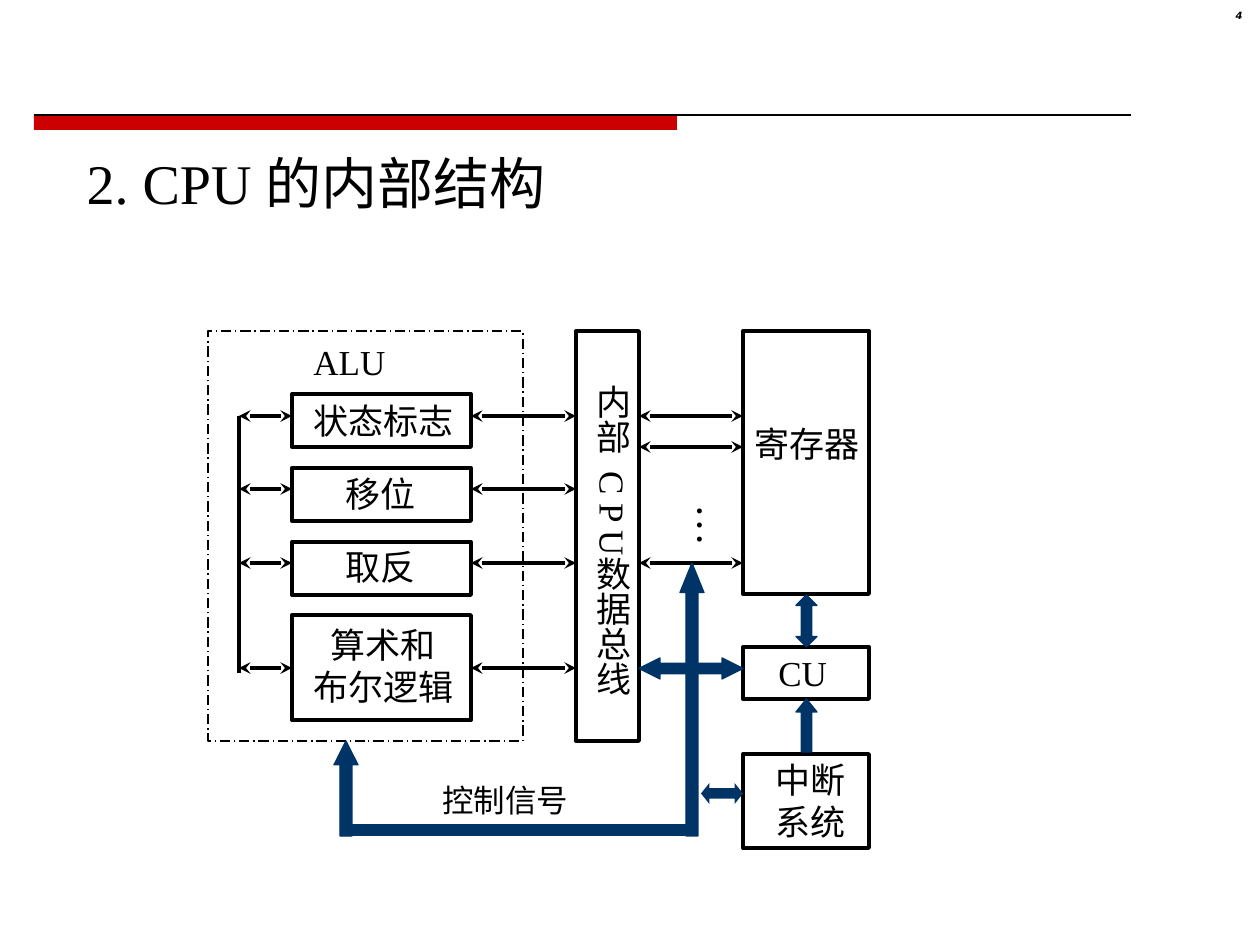
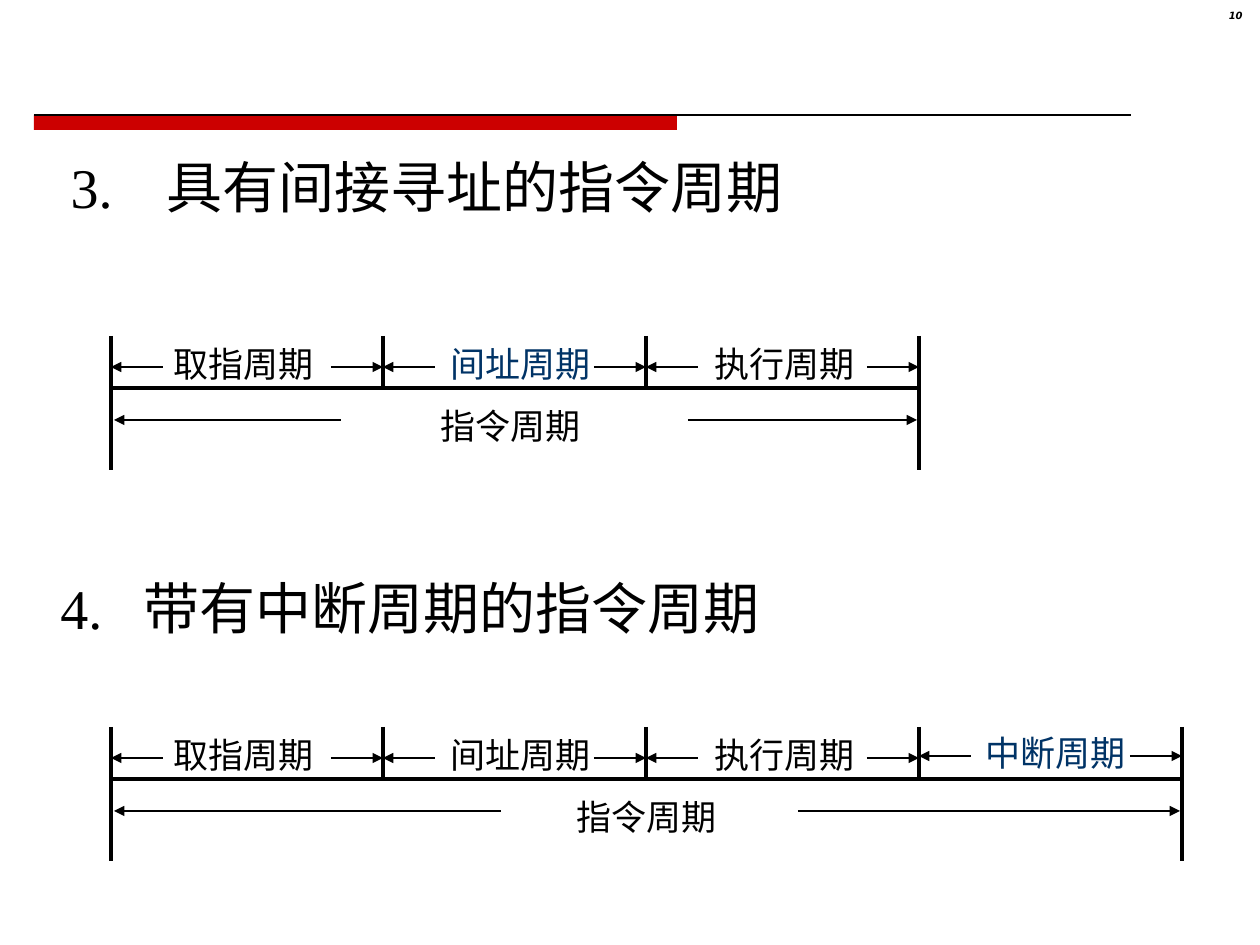
"""Builds two slides on the inner structure of a CPU and its instruction cycles."""
import lxml.etree
import pptx
import pptx.dml.color
import pptx.enum.dml
import pptx.enum.shapes
import pptx.enum.text
import pptx.oxml.ns
import pptx.util

SHAPE = pptx.enum.shapes.MSO_SHAPE
ALIGN = pptx.enum.text.PP_ALIGN
qn = pptx.oxml.ns.qn
PX = 914400 / 126
COLORS = {"ink": "000000", "navy": "003366", "red": "CC0000"}
SERIF, SANS = "Times New Roman", "DejaVu Sans"
BAND_BAR, BAND_RULE = (34, 115, 643, 15), (34, 115, 1131, 115)
NUMBER_AREA = (1181, 6, 74, 29)

CPU_TITLE = ("2. CPU 的内部结构", (74, 142, 640, 81), 0)
CYCLE_TITLES = [
    ("3.\t具有间接寻址的指令周期", (58, 146, 788, 81), 96),
    ("4.\t带有中断周期的指令周期", (48, 567, 788, 81), 83),
]

ALU_AREA = (208, 331, 315, 410)
UNITS = [
    (292, 394, 179, 53),
    (292, 468, 179, 53),
    (292, 542, 179, 53),
    (292, 615, 179, 105),
    (576, 331, 63, 410),
    (743, 331, 126, 263),
    (743, 647, 126, 52),
    (743, 754, 126, 94),
]
UNIT_LABELS = [
    ("ALU", (301, 334, 97, 55), 20),
    ("状态标志", (301, 393, 165, 55), 20),
    ("移位", (333, 466, 94, 55), 20),
    ("取反", (333, 539, 94, 55), 20),
    ("算术和\n布尔逻辑", (301, 617, 165, 97), 20),
    ("寄存器", (742, 416, 130, 55), 20),
    ("CU", (766, 645, 73, 55), 20),
    ("中断\n系统", (764, 752, 94, 97), 20),
    ("控制信号", (430, 775, 151, 50), 18),
]
VERTICAL_LABELS = [
    ("内部", (573, 372, 67, 96), 20),
    ("C P U", (574, 459, 67, 117), 20),
    ("数据总线", (573, 544, 67, 166), 20),
    ("…", (671, 492, 75, 94), 24),
]
UNIT_ROWS, REGISTER_ROWS = (416, 489, 563, 668), (416, 447, 563)
LINKS = [((239, 292), UNIT_ROWS), ((471, 576), UNIT_ROWS), ((639, 743), REGISTER_ROWS)]
ALU_SPINE = (239, 416, 239, 673)
CONTROL_ARROWS = [
    (SHAPE.LEFT_RIGHT_ARROW, (639, 658, 104, 21), (0.5, 1), True),
    (SHAPE.UP_ARROW, (796, 699, 21, 53), (0.5, 0.62), True),
    (SHAPE.UP_ARROW, (680, 563, 24, 273), (0.5, 1.23), True),
    (SHAPE.UP_ARROW, (334, 741, 24, 95), (0.5, 0.99), True),
    (SHAPE.RECTANGLE, (344, 825, 347, 10), (), True),
    (SHAPE.LEFT_RIGHT_ARROW, (701, 783, 42, 21), (0.5, 0.4), False),
    (SHAPE.UP_DOWN_ARROW, (796, 595, 21, 52), (0.5, 0.5), True),
]

TICKS = (111, 383, 646, 919, 1182)
PHASES = [("取指周期", 161, 0), ("间址周期", 438, 0), ("执行周期", 702, 0), ("中断周期", 973, 2)]
TIMELINES = [
    {"top": 336, "count": 3, "new": "间址周期", "gap": (341, 688), "total": ("指令周期", 428)},
    {"top": 727, "count": 4, "new": "中断周期", "gap": (501, 798), "total": ("指令周期", 564)},
]
ARROW, LABEL_SIZE = 52, (165, 55)


def px(value):
    return pptx.util.Emu(round(value * PX))


def rgb(tone):
    return pptx.dml.color.RGBColor.from_string(COLORS[tone])


def write(frame, text, size, font=SERIF, tone="ink", align=ALIGN.LEFT, tab=0):
    frame.text = text
    frame.word_wrap = True
    frame.auto_size = pptx.enum.text.MSO_AUTO_SIZE.NONE
    frame.vertical_anchor = pptx.enum.text.MSO_ANCHOR.TOP
    for para in frame.paragraphs:
        para.alignment = align
        if tab:
            tabs = lxml.etree.SubElement(para._p.get_or_add_pPr(), qn("a:tabLst"))
            lxml.etree.SubElement(tabs, qn("a:tab"), pos=str(px(tab)), algn="l")
        para.font.size = pptx.util.Pt(size)
        para.font.name = font
        para.font.color.rgb = rgb(tone)


def add_text(page, text, area, size, **style):
    frame = page.shapes.add_textbox(*map(px, area)).text_frame
    write(frame, text, size, **style)
    return frame


def add_label(page, text, area, size, **style):
    frame = add_text(page, text, area, size, **style)
    frame.word_wrap = False
    frame.margin_right = 0
    if style.get("align") == ALIGN.CENTER:
        frame.margin_left = 0


def add_vertical_label(page, text, area, size):
    frame = add_text(page, text, area, size)
    frame.word_wrap = False
    frame._txBody.bodyPr.set("vert", "eaVert")
    frame.margin_left = frame.margin_right = pptx.util.Inches(0.05)
    frame.margin_top, frame.margin_bottom = pptx.util.Inches(0.1), 0


def add_block(page, kind, area, fill=None, line=None, width=0.75):
    block = page.shapes.add_shape(kind, *map(px, area))
    block.shadow.inherit = False
    if fill:
        block.fill.solid()
        block.fill.fore_color.rgb = rgb(fill)
    else:
        block.fill.background()
    if line:
        block.line.color.rgb = rgb(line)
        block.line.width = pptx.util.Pt(width)
    else:
        block.line.fill.background()
    return block


def add_line(page, ends, width=2.25, head=None, tail=None):
    kind = pptx.enum.shapes.MSO_CONNECTOR.STRAIGHT
    line = page.shapes.add_connector(kind, *map(px, ends))
    line.line.color.rgb = rgb("ink")
    line.line.width = pptx.util.Pt(width)
    properties = line.element.spPr
    for name, tip in (("a:headEnd", head), ("a:tailEnd", tail)):
        if tip:
            lxml.etree.SubElement(properties.find(qn("a:ln")), qn(name), type=tip)
    lxml.etree.SubElement(properties, qn("a:effectLst"))
    return line


def add_bands(page):
    bar = add_block(page, SHAPE.RECTANGLE, BAND_BAR, fill="red")
    rule = add_line(page, BAND_RULE, width=0.75)
    for band in (bar, rule):
        page.slide_layout.shapes.element.append(band.element)


def add_page(deck, number, title):
    page = deck.slides.add_slide(deck.slide_layouts[5])
    text, area, tab = title
    holder = page.shapes.title
    holder.left, holder.top, holder.width, holder.height = map(px, area)
    write(holder.text_frame, text, 32, tab=tab)
    frame = add_text(page, number, NUMBER_AREA, 5.7, font=SANS, align=ALIGN.RIGHT)
    para = frame.paragraphs[0]
    para.line_spacing = 0.8
    para.font.bold = para.font.italic = True
    return page


def draw_cpu(page):
    area = add_block(page, SHAPE.RECTANGLE, ALU_AREA, line="ink")
    area.line.dash_style = pptx.enum.dml.MSO_LINE.LONG_DASH_DOT
    for unit in UNITS:
        add_block(page, SHAPE.RECTANGLE, unit, line="ink", width=2.25)
    for (left, right), rows in LINKS:
        for row in rows:
            add_line(page, (left, row, right, row), head="stealth", tail="stealth")
    add_line(page, ALU_SPINE)
    for kind, place, ratios, outlined in CONTROL_ARROWS:
        arrow = add_block(page, kind, place, fill="navy", line="navy" if outlined else None)
        for index, ratio in enumerate(ratios):
            arrow.adjustments[index] = ratio
    for text, place, size in UNIT_LABELS:
        align = ALIGN.CENTER if "\n" in text else ALIGN.LEFT
        add_label(page, text, place, size, align=align)
    for label in VERTICAL_LABELS:
        add_vertical_label(page, *label)


def draw_timeline(page, top, count, new, gap, total):
    ticks = TICKS[:count + 1]
    start, end = ticks[0], ticks[-1]
    base, bottom, middle, span = top + 52, top + 134, top + 31, top + 84
    add_line(page, (start, base, end, base))
    for tick in ticks:
        add_line(page, (tick, top, tick, bottom if tick in (start, end) else base))
    for (name, left, lift), begin, stop in zip(PHASES, ticks, ticks[1:]):
        row = middle - lift
        tone = "navy" if name == new else "ink"
        add_label(page, name, (left, top - lift, *LABEL_SIZE), 20, tone=tone)
        add_line(page, (begin + ARROW, row, begin, row), 0.75, tail="triangle")
        add_line(page, (stop - ARROW, row, stop, row), 0.75, tail="triangle")
    add_line(page, (gap[0], span, start + 3, span), 0.75, tail="triangle")
    add_line(page, (gap[1], span, end - 2, span), 0.75, tail="triangle")
    name, left = total
    add_label(page, name, (left, top + 62, *LABEL_SIZE), 20)


def main():
    deck = pptx.Presentation()
    deck.slide_width, deck.slide_height = px(1260), px(945)
    cpu_page = add_page(deck, "4", CPU_TITLE)
    add_bands(cpu_page)
    draw_cpu(cpu_page)
    first, second = CYCLE_TITLES
    cycle_page = add_page(deck, "10", first)
    text, area, tab = second
    add_text(cycle_page, text, area, 32, tab=tab)
    for timeline in TIMELINES:
        draw_timeline(cycle_page, **timeline)
    deck.save("out.pptx")


if __name__ == "__main__":
    main()
